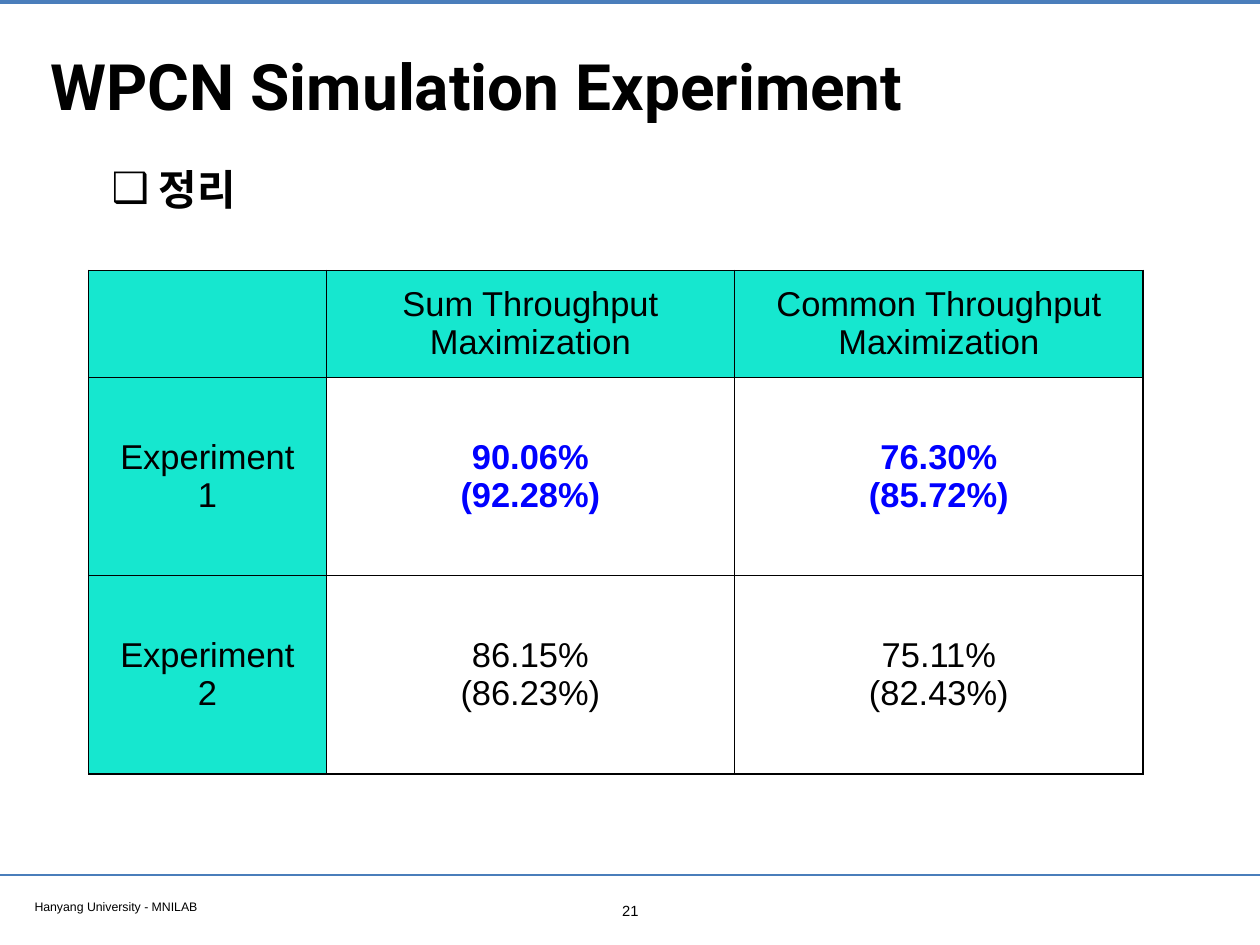
from dataclasses import dataclass

from lxml import etree
from pptx import Presentation
from pptx.dml.color import RGBColor
from pptx.enum import shapes, text
from pptx.oxml import ns
from pptx.util import Emu, Pt

PX = 9144  # 100 px to the inch
BLACK = RGBColor(0x00, 0x00, 0x00)
WHITE = RGBColor(0xFF, 0xFF, 0xFF)
BLUE = RGBColor(0x00, 0x00, 0xFF)
TURQUOISE = RGBColor(0x16, 0xE7, 0xCF)
RULE_BLUE = RGBColor(0x4A, 0x7E, 0xBB)
LEFT, CENTER = text.PP_ALIGN.LEFT, text.PP_ALIGN.CENTER


@dataclass(frozen=True)
class Box:
    left: int
    top: int
    width: int
    height: int

    def emu(self) -> tuple[Emu, ...]:
        return tuple(px(n) for n in (self.left, self.top, self.width, self.height))


@dataclass(frozen=True)
class Rule:
    y: int
    weight: float


@dataclass(frozen=True)
class Result:
    lines: str
    color: RGBColor = BLACK
    bold: bool = False
    fill: RGBColor = WHITE


RULES = (Rule(2, 3.2), Rule(988, 2))
TABLE = Box(100, 305, 1190, 569)
COLUMNS = (268, 461, 461)
ROWS = (121, 224, 224)
RESULTS = (
    (Result("", fill=TURQUOISE),
     Result("Sum Throughput\nMaximization", fill=TURQUOISE),
     Result("Common Throughput\nMaximization", fill=TURQUOISE)),
    (Result("Experiment\n1", fill=TURQUOISE),
     Result("90.06%\n(92.28%)", BLUE, True),
     Result("76.30%\n(85.72%)", BLUE, True)),
    (Result("Experiment\n2", fill=TURQUOISE),
     Result("86.15%\n(86.23%)"),
     Result("75.11%\n(82.43%)")),
)


def px(n: int) -> Emu:
    return Emu(n * PX)


def write(frame, words: str, *, size: float, font: str = "Arial",
          color: RGBColor = BLACK, bold: bool = False, align=LEFT) -> None:
    """Fill a text frame, one paragraph for each line of words."""
    frame.text = words
    for paragraph in frame.paragraphs:
        paragraph.alignment = align
        paragraph.font.size = Pt(size)
        for run in paragraph.runs:
            run.font.size = Pt(size)
            run.font.name = font
            run.font.bold = bold
            run.font.color.rgb = color


def set_frame(frame, anchor=text.MSO_ANCHOR.TOP,
              auto_size=text.MSO_AUTO_SIZE.NONE) -> None:
    frame.word_wrap = True
    frame.auto_size = auto_size
    frame.vertical_anchor = anchor
    frame.margin_left = frame.margin_right = px(6)
    frame.margin_top = frame.margin_bottom = px(6)


def place(shape, box: Box) -> None:
    shape.left, shape.top, shape.width, shape.height = box.emu()


def add_label(slide, box: Box, words: str, size: float, align=LEFT) -> None:
    label = slide.shapes.add_textbox(*box.emu())
    set_frame(label.text_frame, auto_size=text.MSO_AUTO_SIZE.SHAPE_TO_FIT_TEXT)
    write(label.text_frame, words, size=size, align=align)


def add_rule(slide, rule: Rule, width: Emu) -> None:
    line = slide.shapes.add_connector(
        shapes.MSO_CONNECTOR.STRAIGHT, 0, px(rule.y), width, px(rule.y))
    line.line.color.rgb = RULE_BLUE
    line.line.width = Pt(rule.weight)
    etree.SubElement(line._element.spPr, ns.qn("a:effectLst"))


def add_bullet(paragraph, mark: str, indent: int) -> None:
    properties = paragraph._p.get_or_add_pPr()
    properties.set("marL", str(px(indent)))
    properties.set("indent", str(-px(indent)))
    etree.SubElement(properties, ns.qn("a:buChar")).set("char", mark)


def add_borders(cell, color: RGBColor, weight: float) -> None:
    """Put the four edges before the cell's fill, as the schema asks."""
    properties = cell._tc.get_or_add_tcPr()
    for position, side in enumerate(("lnL", "lnR", "lnT", "lnB")):
        edge = etree.Element(ns.qn(f"a:{side}"), w=str(Pt(weight)))
        fill = etree.SubElement(edge, ns.qn("a:solidFill"))
        etree.SubElement(fill, ns.qn("a:srgbClr")).set("val", str(color))
        properties.insert(position, edge)


def add_results(slide) -> None:
    table = slide.shapes.add_table(len(ROWS), len(COLUMNS), *TABLE.emu()).table
    for column, width in zip(table.columns, COLUMNS):
        column.width = px(width)
    for row, height, results in zip(table.rows, ROWS, RESULTS):
        row.height = px(height)
        for cell, result in zip(row.cells, results):
            cell.fill.solid()
            cell.fill.fore_color.rgb = result.fill
            cell.vertical_anchor = text.MSO_ANCHOR.MIDDLE
            write(cell.text_frame, result.lines, size=28, color=result.color,
                  bold=result.bold, align=CENTER)
            add_borders(cell, BLACK, 1)


def main() -> None:
    deck = Presentation()
    deck.slide_width, deck.slide_height = px(1422), px(1067)
    slide = deck.slides.add_slide(deck.slide_layouts[1])

    for rule in RULES:
        add_rule(slide, rule, deck.slide_width)
    add_label(slide, Box(33, 1009, 546, 26), "Hanyang University - MNILAB", 10)
    add_label(slide, Box(692, 1012, 39, 31), "21", 12, CENTER)

    title = slide.shapes.title
    place(title, Box(51, 28, 1321, 135))
    set_frame(title.text_frame, text.MSO_ANCHOR.MIDDLE)
    write(title.text_frame, "WPCN Simulation Experiment", size=52, font="Roboto", bold=True)

    summary = slide.placeholders[1]
    place(summary, Box(120, 167, 1267, 438))
    set_frame(summary.text_frame)
    write(summary.text_frame, "정리", size=34, font="Times New Roman", bold=True)
    heading = summary.text_frame.paragraphs[0]
    add_bullet(heading, "❑", 53)
    heading.line_spacing = 1.2
    heading.space_before = Pt(0)

    add_results(slide)
    deck.save("out.pptx")


if __name__ == "__main__":
    main()
